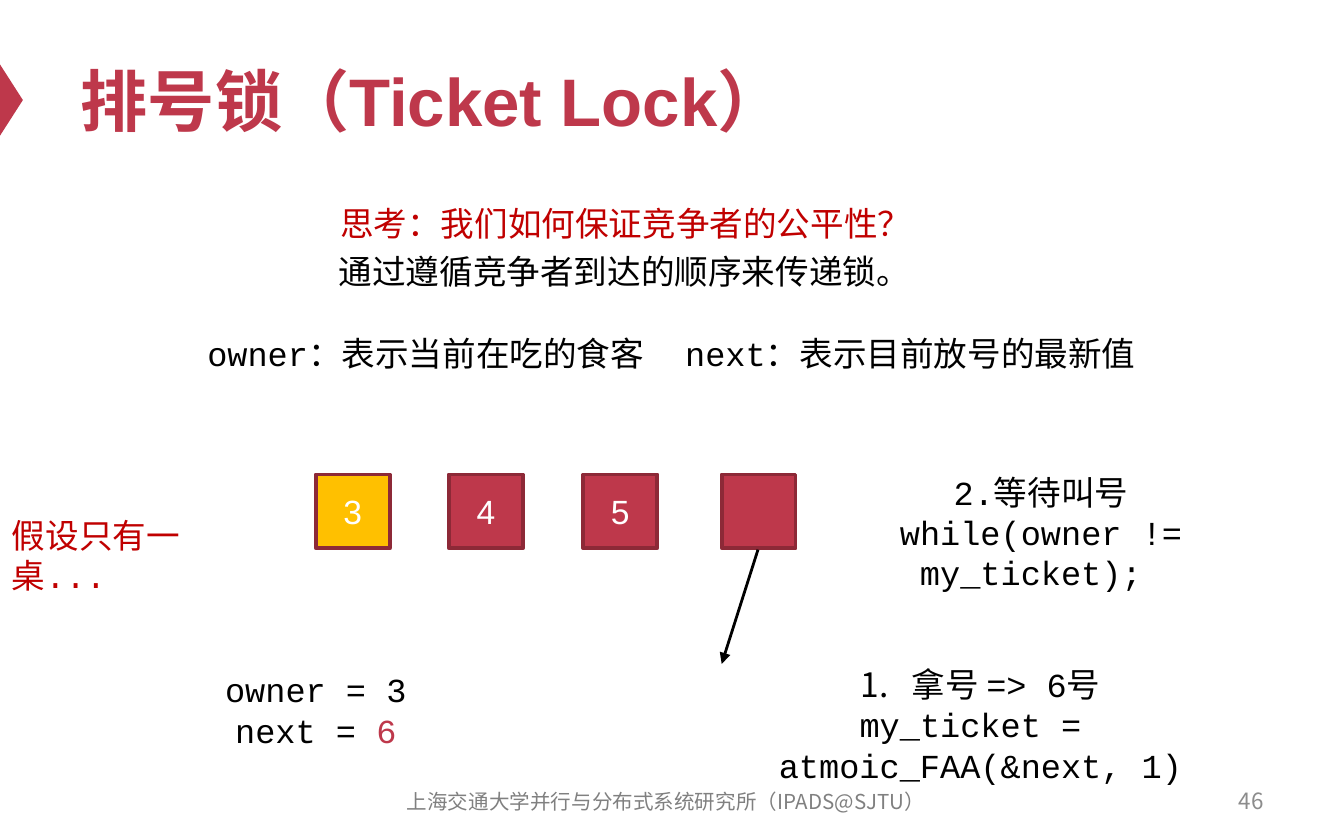
from lxml.etree import SubElement
from pptx import Presentation
from pptx.dml.color import RGBColor
from pptx.enum.shapes import MSO_CONNECTOR, MSO_SHAPE
from pptx.enum.text import MSO_ANCHOR, PP_ALIGN
from pptx.oxml.ns import qn
from pptx.util import Inches, Pt

CRIMSON, DARK_CRIMSON, RED = "BE384B", "8D2937", "C00000"
AMBER, BLACK, WHITE = "FFC000", "000000", "FFFFFF"
CJK, CODE, SANS = "Noto Sans CJK SC", "Courier New", "Arial"


def color(value):
    return RGBColor.from_string(value)


def box(left, top, width, height):
    return [Inches(value) for value in (left, top, width, height)]


def add_run(paragraph, text, size=18, fill=BLACK, font=CODE, bold=False):
    run = paragraph.add_run()
    run.text = text
    run.font.size, run.font.bold, run.font.name = Pt(size), bold, font
    run.font.color.rgb = color(fill)
    SubElement(run.font._element, qn("a:ea"), typeface=CJK)


def add_text(slide, area, lines, align=PP_ALIGN.CENTER, anchor=MSO_ANCHOR.TOP,
             wrap=True, **style):
    """Each line is a list of (text, style overrides) runs."""
    frame = slide.shapes.add_textbox(*box(*area)).text_frame
    frame.word_wrap, frame.vertical_anchor = wrap, anchor
    for index, runs in enumerate(lines):
        paragraph = frame.add_paragraph() if index else frame.paragraphs[0]
        paragraph.alignment = align
        for text, overrides in runs:
            add_run(paragraph, text, **{**style, **overrides})
    return frame


def plain(*lines):
    return [[(line, {})] for line in lines]


def add_solid(slide, preset, area, fill):
    shape = slide.shapes.add_shape(preset, *box(*area))
    shape.shadow.inherit = False
    shape.fill.solid()
    shape.fill.fore_color.rgb = color(fill)
    shape.line.fill.background()
    return shape


def add_heading(slide, left, top, width, height):
    marker = add_solid(slide, MSO_SHAPE.ISOSCELES_TRIANGLE,
                       (left - 0.68, top + 0.54, 0.53, 0.17), CRIMSON)
    marker.rotation = 90
    title = slide.shapes.title
    title.left, title.top, title.width, title.height = box(left, top, width, height)
    frame = title.text_frame
    frame.vertical_anchor = MSO_ANCHOR.MIDDLE
    paragraph = frame.paragraphs[0]
    paragraph.alignment = PP_ALIGN.LEFT
    add_run(paragraph, "排号锁（Ticket Lock）", 36, CRIMSON, SANS, True)


def add_explanation(slide, left, top):
    question = add_text(slide, (left, top, 7.37, 0.51),
                        plain("思考：我们如何保证竞争者的公平性？"), fill=RED)
    question.paragraphs[0].line_spacing = 1.5
    add_text(slide, (left + 1.08, top + 0.51, 5.19, 0.4),
             plain("通过遵循竞争者到达的顺序来传递锁。"))
    add_text(slide, (left + 0.05, top + 1.12, 7.95, 0.4),
             plain("owner：表示当前在吃的食客\t next：表示目前放号的最新值"))


def add_queue(slide, left, top, side=0.55):
    tickets = [(0, "3", AMBER), (0.99, "4", CRIMSON), (1.99, "5", CRIMSON),
               (3.02, "", CRIMSON)]
    for offset, number, fill in tickets:
        ticket = add_solid(slide, MSO_SHAPE.RECTANGLE,
                           (left + offset, top, side, side), fill)
        ticket.line.color.rgb = color(DARK_CRIMSON)
        ticket.line.width = Pt(2)
        if number:
            ticket.text_frame.vertical_anchor = MSO_ANCHOR.MIDDLE
            paragraph = ticket.text_frame.paragraphs[0]
            paragraph.alignment = PP_ALIGN.CENTER
            add_run(paragraph, number, fill=WHITE, font=SANS)
    arrow = slide.shapes.add_connector(
        MSO_CONNECTOR.STRAIGHT, Inches(left + 3.29), Inches(top + 0.56),
        Inches(left + 3.02), Inches(top + 1.41))
    arrow.line.color.rgb = color(BLACK)
    arrow.line.width = Pt(1.5)
    SubElement(arrow.line._get_or_add_ln(), qn("a:tailEnd"), type="triangle")
    SubElement(arrow._element.spPr, qn("a:effectLst"))


def add_steps(slide, left, top):
    take = add_text(slide, (left, top + 1.43, 3.29, 1.01),
                    plain("拿号 => 6号", "my_ticket =  atmoic_FAA(&next, 1)"))
    properties = take.paragraphs[0]._p.get_or_add_pPr()
    indent = Inches(0.38)
    properties.set("marL", str(indent))
    properties.set("indent", str(-indent))
    SubElement(properties, qn("a:buFont"), typeface=CJK)
    SubElement(properties, qn("a:buAutoNum"), type="arabicPeriod")
    add_text(slide, (left + 0.45, top, 3.29, 1.01),
             plain("2.等待叫号", "while(owner != my_ticket); "))


def add_state(slide, left, top):
    add_text(slide, (left + 1.58, top + 1.15, 1.56, 0.71),
             [[("owner = 3", {})], [("next = ", {}), ("6", {"fill": CRIMSON})]],
             wrap=False)
    add_text(slide, (left, top, 2.1, 0.71), plain("假设只有一桌..."),
             PP_ALIGN.LEFT, fill=RED)


def add_footer(slide, left, top):
    add_text(slide, (left, top, 4.33, 0.33),
             plain("上海交通大学并行与分布式系统研究所（IPADS@SJTU）"),
             anchor=MSO_ANCHOR.MIDDLE, size=11, fill="808080", font=CJK)
    add_text(slide, (left + 4.38, top - 0.01, 2.33, 0.33), plain("46"),
             PP_ALIGN.RIGHT, MSO_ANCHOR.MIDDLE, size=12, fill="8C8C8C", font=CJK)


def main():
    presentation = Presentation()
    presentation.slide_width, presentation.slide_height = Inches(10), Inches(6.25)
    slide = presentation.slides.add_slide(presentation.slide_layouts[5])
    add_heading(slide, 0.5, 0.12, 9.38, 1.24)
    add_explanation(slide, 0.97, 1.31)
    add_queue(slide, 2.35, 3.53)
    add_steps(slide, 5.65, 3.46)
    add_state(slide, -0.01, 3.78)
    add_footer(slide, 2.79, 5.8)
    presentation.save("out.pptx")


if __name__ == "__main__":
    main()
